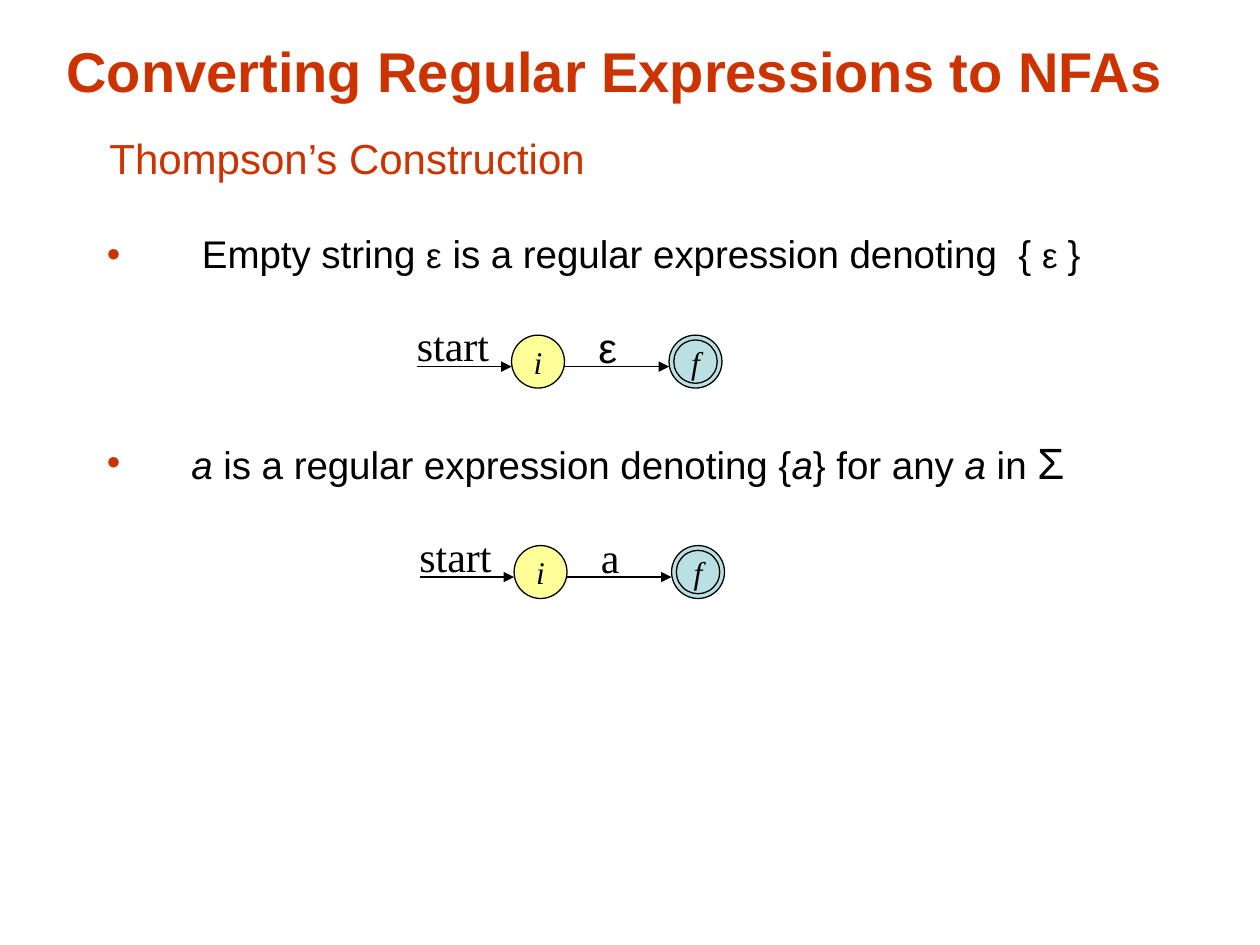
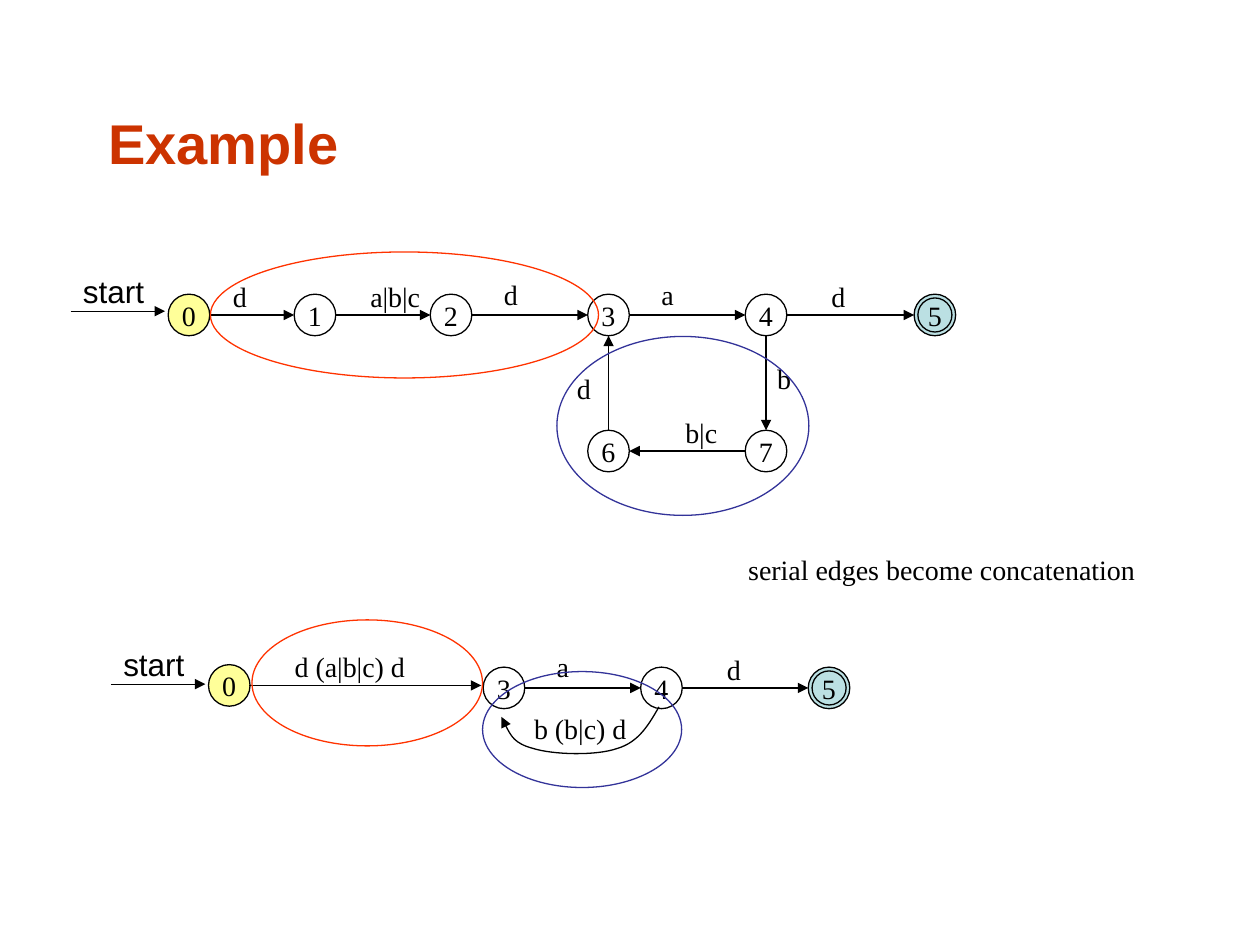
from math import hypot

from lxml import etree
from pptx import Presentation
from pptx.dml.color import RGBColor
from pptx.enum.shapes import MSO_CONNECTOR, MSO_SHAPE
from pptx.enum.text import MSO_ANCHOR, PP_ALIGN
from pptx.oxml import parse_xml
from pptx.oxml.ns import nsdecls, qn
from pptx.util import Inches, Pt

BLACK = "000000"
RUST = "CC3300"
RED = "FF3300"
BLUE = "333399"
START_FILL = "FFFF99"
FINAL_FILL = "BBE0E3"
SANS = "Arial"
SERIF = "Times New Roman"
FILLS = {"0": START_FILL, "i": START_FILL, "5": FINAL_FILL, "f": FINAL_FILL}
FINAL_STATES = "5f"
DIAMETER = 0.33


def color(hex_code):
    """Turn a hex string into a colour."""
    return RGBColor.from_string(hex_code)


def set_font(font, size, name, hex_code=BLACK, bold=False, italic=False):
    """Apply size, family, colour and style to a font."""
    font.size, font.name = Pt(size), name
    font.bold, font.italic = bold, italic
    font.color.rgb = color(hex_code)


def set_line(line, hex_code=BLACK, arrow=False):
    """Give a line its colour and width, and an arrowhead if asked."""
    line.color.rgb = color(hex_code)
    line.width = Pt(0.75)
    if arrow:
        tail = parse_xml(f'<a:tailEnd {nsdecls("a")} type="triangle"/>')
        line._get_or_add_ln().append(tail)


def add_box(page, left, top, width, height):
    """Add an empty text box that wraps its text."""
    box = page.shapes.add_textbox(
        Inches(left), Inches(top), Inches(width), Inches(height))
    box.text_frame.word_wrap = True
    return box


def add_text(page, text, left, top, width, height, size, name=SERIF, hex_code=BLACK):
    """Add a one-line label."""
    box = add_box(page, left, top, width, height)
    box.text_frame.margin_right = 0
    para = box.text_frame.paragraphs[0]
    para.text = text
    set_font(para.font, size, name, hex_code)


def add_title(page, text, left, top, width, height):
    """Add the slide title."""
    box = add_box(page, left, top, width, height)
    box.text_frame.vertical_anchor = MSO_ANCHOR.MIDDLE
    para = box.text_frame.paragraphs[0]
    para.text = text
    set_font(para.font, 32, SANS, RUST, bold=True)


def add_oval(page, left, top, width, height, line=BLACK, fill=None):
    """Add an outlined oval, hollow unless a fill is given."""
    oval = page.shapes.add_shape(
        MSO_SHAPE.OVAL, Inches(left), Inches(top), Inches(width), Inches(height))
    oval.shadow.inherit = False
    set_line(oval.line, line)
    if fill:
        oval.fill.solid()
        oval.fill.fore_color.rgb = color(fill)
    else:
        oval.fill.background()
    return oval


def add_state(page, name, center, diameter=DIAMETER, size=16, italic=False):
    """Add a named automaton state, with a second ring if it accepts."""
    left, top = (place - diameter / 2 for place in center)
    oval = add_oval(page, left, top, diameter, diameter, fill=FILLS.get(name))
    oval.text_frame.word_wrap = False
    oval.text_frame.vertical_anchor = MSO_ANCHOR.MIDDLE
    para = oval.text_frame.paragraphs[0]
    para.text = name
    para.alignment = PP_ALIGN.CENTER
    set_font(para.font, size, SERIF, italic=italic)
    if name in FINAL_STATES:
        gap = diameter * 0.09
        inner = diameter - 2 * gap
        add_oval(page, left + gap, top + gap, inner, inner)


def add_arrow(page, start, end):
    """Add a straight arrow between two points."""
    arrow = page.shapes.add_connector(
        MSO_CONNECTOR.STRAIGHT, *(Inches(place) for place in (*start, *end)))
    set_line(arrow.line, arrow=True)
    etree.SubElement(arrow._element.spPr, qn("a:effectLst"))


def add_edge(page, start, end):
    """Add an arrow from the rim of one state to the rim of another."""
    across, down = end[0] - start[0], end[1] - start[1]
    share = DIAMETER / 2 / hypot(across, down)
    shift = across * share, down * share
    add_arrow(page, (start[0] + shift[0], start[1] + shift[1]),
              (end[0] - shift[0], end[1] - shift[1]))


def add_curve(page, points):
    """Add a curved arrow: a start point, then three points per Bezier segment."""
    places = [(Inches(x), Inches(y)) for x, y in points]
    builder = page.shapes.build_freeform(*places[0], scale=1.0)
    builder.add_line_segments(places[1:], close=False)
    curve = builder.convert_to_shape()
    curve.shadow.inherit = False
    curve.fill.background()
    set_line(curve.line, arrow=True)
    outline = next(curve._element.iter(qn("a:path")))
    steps = outline.findall(qn("a:lnTo"))
    for first in range(0, len(steps), 3):
        bezier = etree.SubElement(outline, qn("a:cubicBezTo"))
        for step in steps[first:first + 3]:
            bezier.append(step[0])
            outline.remove(step)


def add_bullets(page, items, left, top, width, height):
    """Add bulleted paragraphs, each given as space before and styled spans."""
    box = add_box(page, left, top, width, height)
    for number, (space, spans) in enumerate(items):
        para = box.text_frame.add_paragraph() if number else box.text_frame.paragraphs[0]
        properties = para._p.get_or_add_pPr()
        properties.set("marL", str(Inches(0.67)))
        properties.set("indent", str(Inches(-0.67)))
        for mark in (f'<a:buClr {nsdecls("a")}><a:srgbClr val="{RUST}"/></a:buClr>',
                     f'<a:buFont {nsdecls("a")} typeface="{SANS}"/>',
                     f'<a:buChar {nsdecls("a")} char="•"/>'):
            properties.append(parse_xml(mark))
        para.line_spacing = 0.9
        if space:
            para.space_before = Pt(space)
        set_font(para.font, 22, SANS)
        for text, size, italic in spans:
            span = para.add_run()
            span.text = text
            span.font.size, span.font.italic = Pt(size), italic


def add_basic_automaton(page, left, top, symbol, font):
    """Add the two-state automaton that accepts one symbol."""
    diameter = 0.42
    middle, level = top + diameter / 2, top + 0.25
    for name, offset in (("i", 0.75), ("f", 2)):
        add_state(page, name, (left + offset + diameter / 2, middle), diameter, 18, True)
    add_arrow(page, (left, level), (left + 0.75, level))
    add_arrow(page, (left + 0.75 + diameter, level), (left + 2, level))
    add_text(page, "start", left - 0.1, top - 0.17, 0.77, 0.5, 24)
    add_text(page, symbol, left + 1.34, top - 0.16, 0.34, 0.5, 24, font)


def add_graph(page, states, edges, labels):
    """Add states, the edges between them and the edge labels."""
    for name, center in states.items():
        add_state(page, name, center)
    for source, target in edges:
        add_edge(page, states[source], states[target])
    for text, left, top, width in labels:
        add_text(page, text, left, top, width, 0.37, 16)


def add_start(page, left, level):
    """Add the arrow that leads into the first state."""
    add_arrow(page, (left, level), (left + 0.75, level))
    add_text(page, "start", left, level - 0.36, 0.68, 0.4, 18, SANS)


def build_thompson(page):
    """Build the slide on Thompson's construction."""
    add_title(page, "Converting Regular Expressions to NFAs", 0.43, 0.25, 8.94, 0.61)
    add_text(page, "Thompson’s Construction", 0.77, 1, 3.98, 0.5, 24, SANS, RUST)
    empty_string = [
        (" Empty string ", 22, False), ("ε", 20, False),
        (" is a regular expression denoting  { ", 22, False),
        ("ε ", 20, False), ("}", 22, False)]
    single_symbol = [
        ("a", 22, True), (" is a regular expression denoting {", 22, False),
        ("a", 22, True), ("} for any ", 22, False),
        ("a", 22, True), (" in ", 22, False), ("Σ", 25, False)]
    add_bullets(page, [(0, empty_string), (94, single_symbol)], 0.75, 1.82, 8.5, 5.08)
    add_basic_automaton(page, 3.31, 2.66, "ε", SANS)
    add_basic_automaton(page, 3.33, 4.33, "a", SERIF)


def build_example(page):
    """Build the slide that merges serial edges."""
    add_title(page, "Example", 0.76, 0.5, 8.5, 1.25)
    upper, lower = 2.5, 3.58
    add_graph(
        page,
        {"0": (1.5, upper), "1": (2.5, upper), "2": (3.58, upper),
         "3": (4.83, upper), "4": (6.08, upper), "5": (7.42, upper),
         "6": (4.83, lower), "7": (6.08, lower)},
        ["01", "12", "23", "34", "45", "47", "76", "63"],
        [("d", 1.75, 2.17, 0.31), ("a|b|c", 2.84, 2.17, 0.59),
         ("d", 3.9, 2.15, 0.31), ("a", 5.15, 2.15, 0.3),
         ("d", 6.5, 2.17, 0.31), ("d", 4.48, 2.9, 0.31),
         ("b", 6.07, 2.82, 0.31), ("b|c", 5.34, 3.25, 0.45)])
    add_start(page, 0.56, 2.47)

    merged = 5.46
    add_graph(
        page,
        {"0": (1.82, 5.44), "3": (4, merged), "4": (5.25, merged), "5": (6.58, merged)},
        ["34", "45"],
        [("d (a|b|c) d", 2.24, 5.11, 1.07), ("a", 4.32, 5.11, 0.3),
         ("d", 5.67, 5.13, 0.31), ("b (b|c) d", 4.14, 5.6, 0.93)])
    add_arrow(page, (1.98, 5.44), (3.82, 5.44))
    add_curve(page, [
        (5.23, 5.61), (5.15, 5.75), (5.07, 5.89), (4.9, 5.94), (4.73, 6),
        (4.39, 5.99), (4.23, 5.94), (4.08, 5.9), (4.03, 5.8), (3.98, 5.69)])
    add_start(page, 0.88, 5.43)

    add_oval(page, 1.67, 2, 3.08, 1, RED)
    add_oval(page, 4.42, 2.67, 2, 1.42, BLUE)
    add_oval(page, 2, 4.92, 1.83, 1, RED)
    add_oval(page, 3.83, 5.33, 1.58, 0.92, BLUE)
    add_text(page, "serial edges become concatenation", 5.84, 4.34, 3.27, 0.37, 16)


def main():
    """Build and save the deck."""
    deck = Presentation()
    deck.slide_width, deck.slide_height = Inches(10), Inches(7.5)
    for build in (build_thompson, build_example):
        build(deck.slides.add_slide(deck.slide_layouts[6]))
    deck.save("out.pptx")


if __name__ == "__main__":
    main()
